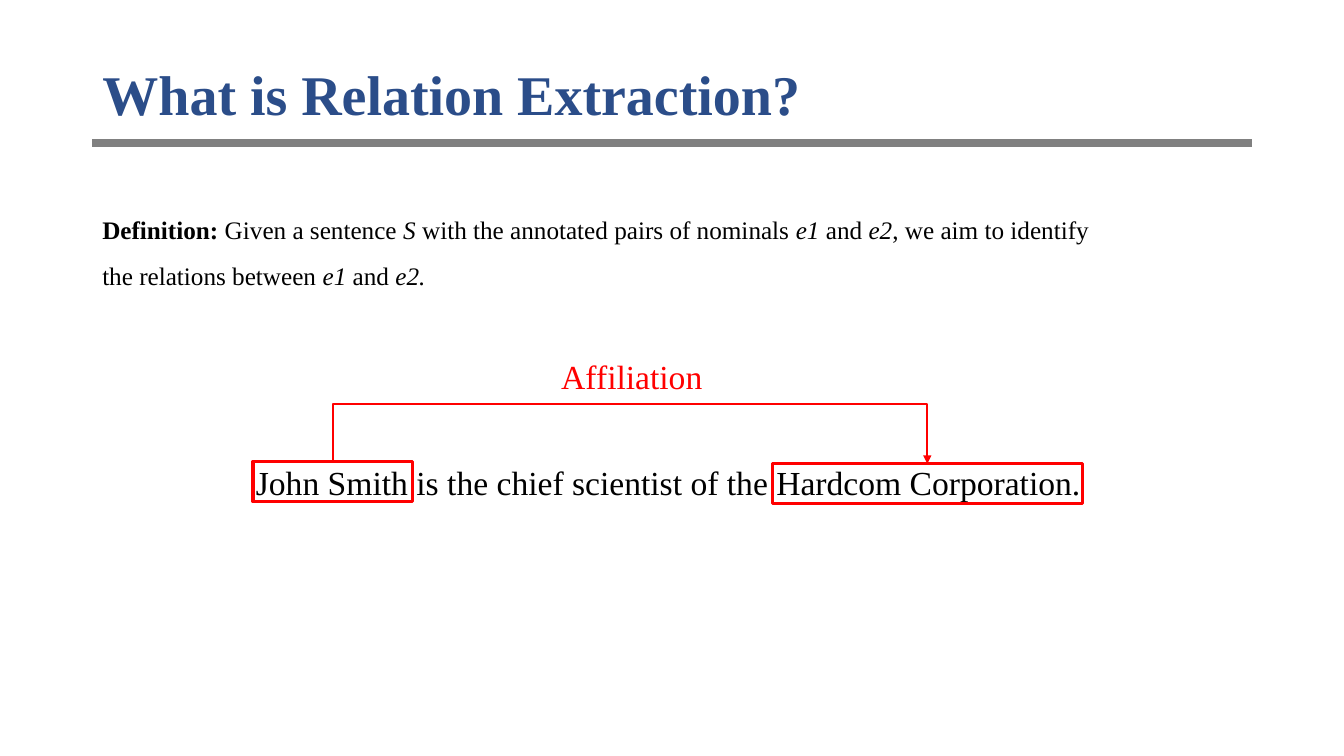
from lxml import etree
from pptx import Presentation
from pptx.dml.color import RGBColor
from pptx.enum.shapes import MSO_CONNECTOR as LINE, MSO_SHAPE as SHAPE
from pptx.enum.text import MSO_ANCHOR as ANCHOR, MSO_AUTO_SIZE as FIT, PP_ALIGN as ALIGN
from pptx.oxml.ns import qn
from pptx.util import Pt

# Content: spans are (text, style)
TITLE = [("What is Relation Extraction?", "bold")]
DEFINITION = [
    ("Definition:", "bold"), (" Given a sentence ", ""), ("S", "italic"),
    (" with the annotated pairs of nominals ", ""), ("e1", "italic"),
    (" and ", ""), ("e2", "italic"),
    (", we aim to identify the relations between ", ""), ("e1", "italic"),
    (" and ", ""), ("e2.", "italic"),
]
SENTENCE = [("John Smith is the chief scientist of the Hardcom Corporation.", "")]
RELATION = [("Affiliation", "")]

FONT = "Times New Roman"
BLUE = RGBColor(0x2B, 0x4D, 0x89)
GRAY = RGBColor(0x80, 0x80, 0x80)
RED = RGBColor(0xFF, 0x00, 0x00)
BLACK = RGBColor(0x00, 0x00, 0x00)

# Geometry in points: left, top, width, height
LEFT, RULE_Y, RULE_WIDTH = 66, 102.5, 828
TITLE_BOX = (LEFT, 28.8, RULE_WIDTH, 81)
DEFINITION_BOX = (LEFT, 139, 736.6, 73)
SENTENCE_BOX = (175.7, 326.2, 609, 36)
RELATION_BOX = (393.8, 250.6, 157.7, 36)
PERSON = (180.7, 329.6, 113.8, 28.8)
COMPANY = (551.5, 331.2, 221.8, 28.8)
ARROW_TOP = 288


def points(*values):
    return [Pt(value) for value in values]


def write(frame, spans, size, color, spacing=1.0, wrap=True, fit=FIT.SHAPE_TO_FIT_TEXT):
    frame.word_wrap, frame.auto_size = wrap, fit
    para = frame.paragraphs[0]
    para.alignment, para.line_spacing = ALIGN.LEFT, spacing
    for text, style in spans:
        span = para.add_run()
        span.text = text
        look = {"name": FONT, "size": Pt(size), "bold": style == "bold",
                "italic": style == "italic"}
        for name, value in look.items():
            setattr(span.font, name, value)
        span.font.color.rgb = color


def add_line(page, kind, ends, color, width):
    line = page.shapes.add_connector(kind, *points(*ends))
    line.line.color.rgb, line.line.width = color, Pt(width)
    etree.SubElement(line._element.spPr, qn("a:effectLst"))
    return line


def add_relation_arrow(page, start, end, top):
    """Elbow arrow that leaves and enters the two boxes from above."""
    (x1, y1), (x2, y2) = start, end
    middle_x, middle_y = (x1 + x2) / 2, (y1 + y2) / 2
    drop, reach = y2 - y1, x2 - x1
    # The frame is upright and mirrored before its turn of 270 degrees
    ends = (middle_x + drop / 2, middle_y - reach / 2,
            middle_x - drop / 2, middle_y + reach / 2)
    arrow = add_line(page, LINE.ELBOW, ends, RED, 1.5)
    properties = arrow._element.spPr
    properties.find(qn("a:xfrm")).set("rot", str(270 * 60000))
    bend = round((top - y1) / drop * 100000)
    guides = properties.find(qn("a:prstGeom")).find(qn("a:avLst"))
    etree.SubElement(guides, qn("a:gd"), name="adj1", fmla=f"val {bend}")
    etree.SubElement(properties.find(qn("a:ln")), qn("a:tailEnd"), type="triangle")


def top_center(box):
    left, top, width, _ = box
    return left + width / 2, top


def main():
    deck = Presentation()
    deck.slide_width, deck.slide_height = Pt(960), Pt(540)
    page = deck.slides.add_slide(deck.slide_layouts[5])

    # Title and rule
    title = page.shapes.title
    for name, value in zip(("left", "top", "width", "height"), points(*TITLE_BOX)):
        setattr(title, name, value)
    title.text_frame.vertical_anchor = ANCHOR.MIDDLE
    write(title.text_frame, TITLE, 40, BLUE, spacing=0.9, fit=FIT.NONE)
    add_line(page, LINE.STRAIGHT, (LEFT, RULE_Y, LEFT + RULE_WIDTH, RULE_Y), GRAY, 5.75)

    # Definition, example sentence and relation label
    for box, spans, size, color, spacing, wrap in (
        (DEFINITION_BOX, DEFINITION, 18, BLACK, 1.5, True),
        (SENTENCE_BOX, SENTENCE, 24, BLACK, 1.0, False),
        (RELATION_BOX, RELATION, 24, RED, 1.0, True),
    ):
        text_box = page.shapes.add_textbox(*points(*box))
        write(text_box.text_frame, spans, size, color, spacing, wrap)

    # Entity frames and the arrow between them
    for box in (PERSON, COMPANY):
        frame = page.shapes.add_shape(SHAPE.RECTANGLE, *points(*box))
        frame.shadow.inherit = False
        frame.fill.background()
        frame.line.color.rgb, frame.line.width = RED, Pt(2.25)
    add_relation_arrow(page, top_center(PERSON), top_center(COMPANY), ARROW_TOP)

    deck.save("out.pptx")


if __name__ == "__main__":
    main()
